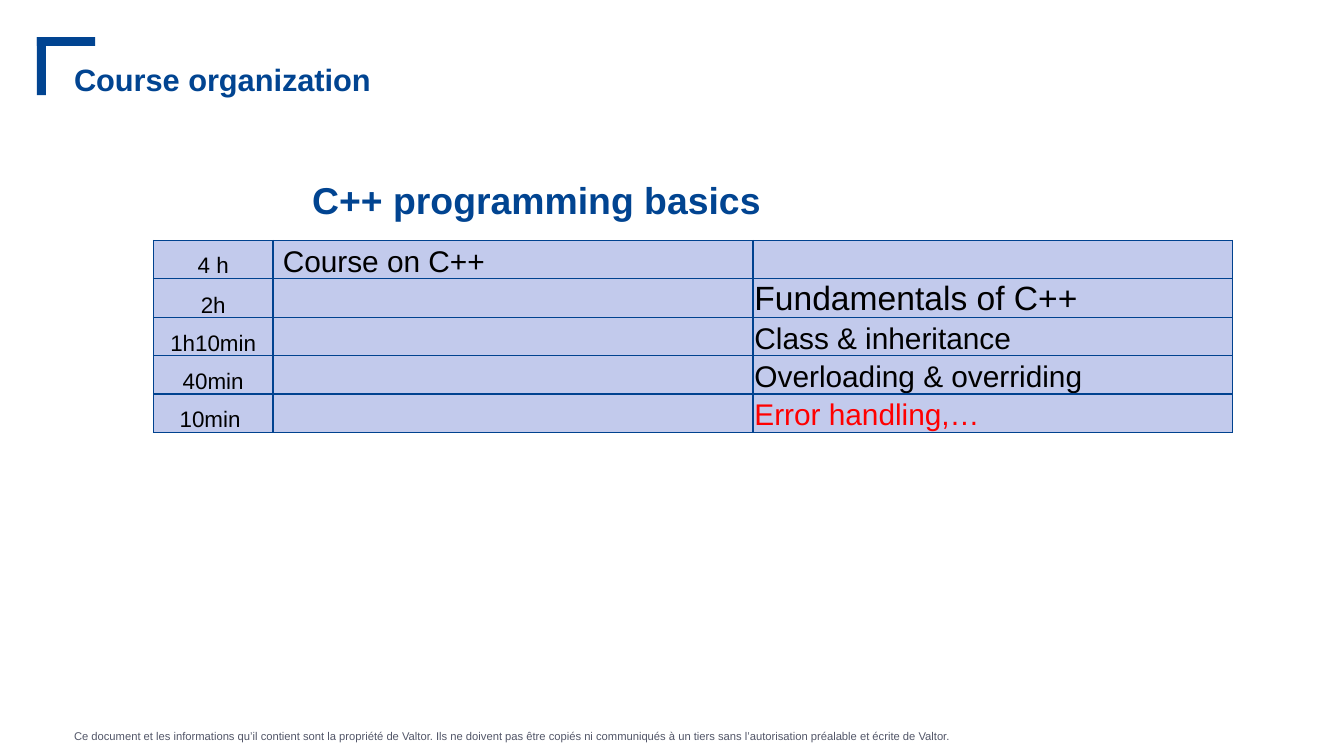
from dataclasses import dataclass

import pptx
import pptx.dml.color
import pptx.enum.shapes
import pptx.enum.text
import pptx.oxml
import pptx.oxml.ns
import pptx.util
from lxml import etree

Cm = pptx.util.Cm
Pt = pptx.util.Pt
ALIGN = pptx.enum.text.PP_ALIGN
ANCHOR = pptx.enum.text.MSO_ANCHOR


@dataclass(frozen=True)
class Theme:
    font: str = "Arial"
    blue: str = "014491"
    border: str = "00428F"
    cell: str = "C2CAEC"
    black: str = "000000"
    red: str = "FF0000"
    grey: str = "525668"
    title_size: float = 16.5
    heading_size: float = 20
    large_size: float = 18
    topic_size: float = 16
    time_size: float = 12
    notice_size: float = 6
    border_width: float = 0.75


THEME = Theme()

NOTICE = (
    "Ce document et les informations qu’il contient sont la propriété de Valtor. "
    "Ils ne doivent pas être copiés ni communiqués à un tiers sans "
    "l’autorisation préalable et écrite de Valtor."
)

# Duration, course, topic, topic size, topic colour
SCHEDULE = [
    ("4 h", " Course on C++", "", THEME.topic_size, THEME.black),
    ("2h", "", "Fundamentals of C++", THEME.large_size, THEME.black),
    ("1h10min", "", "Class & inheritance", THEME.topic_size, THEME.black),
    ("40min", "", "Overloading & overriding", THEME.topic_size, THEME.black),
    ("10min ", "", "Error handling,…", THEME.topic_size, THEME.red),
]


def rgb(value):
    return pptx.dml.color.RGBColor.from_string(value)


def add_run(paragraph, text, size, color, bold=False):
    run = paragraph.add_run()
    run.text = text
    run.font.name = THEME.font
    run.font.size = Pt(size)
    run.font.bold = bold
    run.font.color.rgb = rgb(color)


def fill_text(shape, text, size, color, bold=False):
    frame = shape.text_frame
    frame.word_wrap = True
    frame.auto_size = pptx.enum.text.MSO_AUTO_SIZE.NONE
    frame.vertical_anchor = ANCHOR.TOP
    frame.margin_left = frame.margin_right = 0
    frame.margin_top = frame.margin_bottom = 0
    paragraph = frame.paragraphs[0]
    paragraph.alignment = ALIGN.LEFT
    add_run(paragraph, text, size, color, bold)


def place_title(slide, text):
    title = slide.shapes.title
    title.left, title.top = Cm(1.4), Cm(1.14)
    title.width, title.height = Cm(23.32), Cm(2)
    fill_text(title, text, THEME.title_size, THEME.blue, bold=True)


def add_text(slide, left, top, width, height, *text_style):
    box = slide.shapes.add_textbox(Cm(left), Cm(top), Cm(width), Cm(height))
    fill_text(box, *text_style)


def add_bar(slide, left, top, width, height):
    bar = slide.shapes.add_shape(
        pptx.enum.shapes.MSO_SHAPE.RECTANGLE, Cm(left), Cm(top), Cm(width), Cm(height)
    )
    bar.shadow.inherit = False
    bar.fill.solid()
    bar.fill.fore_color.rgb = rgb(THEME.blue)
    bar.line.fill.background()


def add_borders(cell):
    properties = cell._tc.get_or_add_tcPr()
    for side in ("a:lnL", "a:lnR", "a:lnT", "a:lnB"):
        line = etree.SubElement(
            properties, pptx.oxml.ns.qn(side), w=str(Pt(THEME.border_width))
        )
        fill = etree.SubElement(line, pptx.oxml.ns.qn("a:solidFill"))
        etree.SubElement(fill, pptx.oxml.ns.qn("a:srgbClr"), val=THEME.border)


def format_cell(cell, text, size, color, alignment):
    cell.margin_left = cell.margin_right = cell.margin_top = Cm(0.03)
    cell.margin_bottom = 0
    cell.vertical_anchor = ANCHOR.BOTTOM
    add_borders(cell)
    cell.fill.solid()
    cell.fill.fore_color.rgb = rgb(THEME.cell)
    paragraph = cell.text_frame.paragraphs[0]
    paragraph.alignment = alignment
    if text:
        add_run(paragraph, text, size, color)
    else:
        # Keeps an empty cell from stretching its row
        etree.SubElement(
            paragraph._p, pptx.oxml.ns.qn("a:endParaRPr"), sz=str(THEME.time_size * 100)
        )


def add_schedule(slide, left, top, column_widths, row_height):
    table = slide.shapes.add_table(
        len(SCHEDULE), len(column_widths), Cm(left), Cm(top),
        Cm(sum(column_widths)), Cm(row_height * len(SCHEDULE)),
    ).table
    table.first_row = table.horz_banding = False
    for column, width in zip(table.columns, column_widths):
        column.width = Cm(width)
    for row, (time, course, topic, size, color) in zip(table.rows, SCHEDULE):
        row.height = Cm(row_height)
        time_cell, course_cell, topic_cell = row.cells
        format_cell(time_cell, time, THEME.time_size, THEME.black, ALIGN.CENTER)
        format_cell(course_cell, course, THEME.topic_size, THEME.black, ALIGN.LEFT)
        format_cell(topic_cell, topic, size, color, ALIGN.LEFT)


def main():
    presentation = pptx.Presentation()
    presentation.slide_width, presentation.slide_height = Cm(25.4), Cm(14.28)
    slide = presentation.slides.add_slide(presentation.slide_layouts[5])

    # Legal notice
    add_text(slide, 1.4, 13.77, 19.91, 0.5, NOTICE, THEME.notice_size, THEME.grey)

    # Corner bracket and title
    add_bar(slide, 0.7, 0.7, 0.17, 1.1)
    add_bar(slide, 0.7, 0.7, 1.1, 0.17)
    place_title(slide, "Course organization")

    # Schedule and its heading
    add_schedule(slide, 2.9, 4.54, (2.26, 9.07, 9.07), 0.72)
    add_text(slide, 5.9, 3.35, 14.81, 1.6, "C++ programming basics",
             THEME.heading_size, THEME.blue, True)

    presentation.save("out.pptx")


if __name__ == "__main__":
    main()
